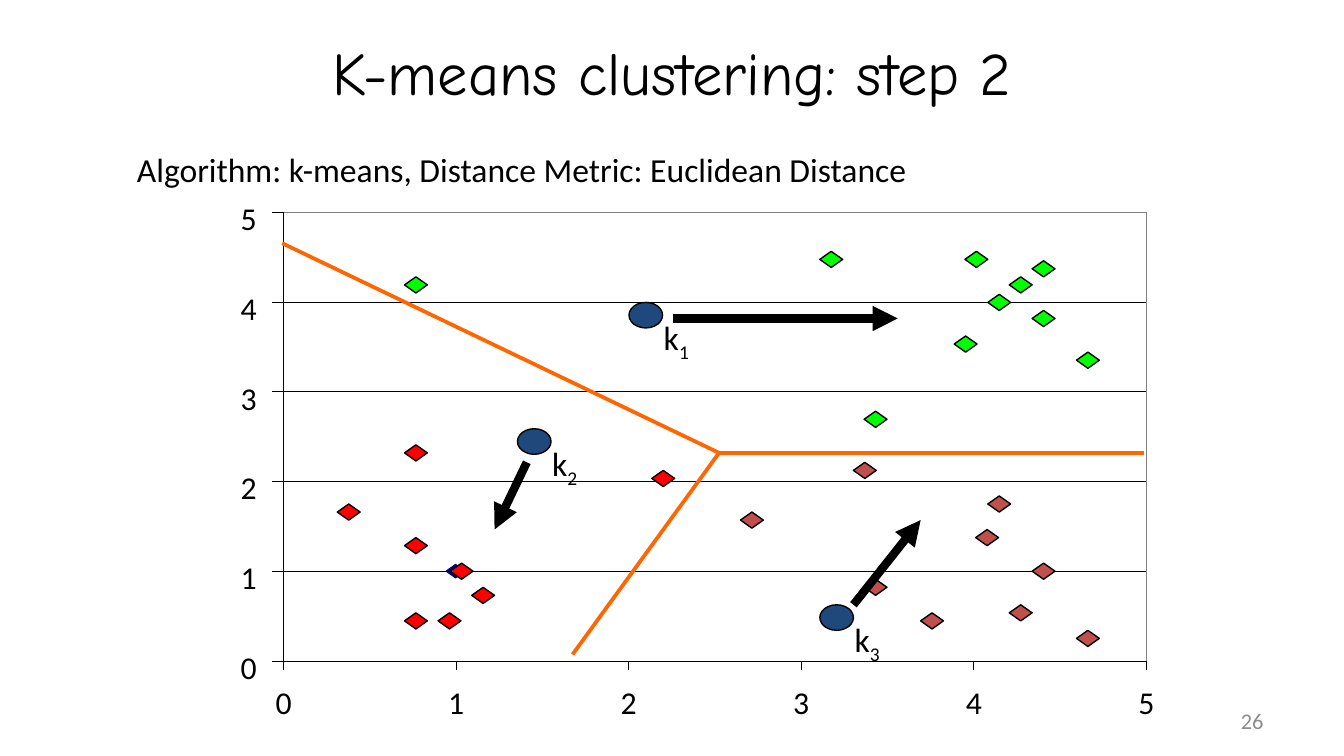
from pptx import Presentation
from pptx.dml.color import RGBColor
from pptx.enum.shapes import MSO_CONNECTOR, MSO_SHAPE
from pptx.enum.text import MSO_ANCHOR, PP_ALIGN
from pptx.oxml.ns import qn
from pptx.util import Inches, Pt
from lxml import etree

STRAIGHT = MSO_CONNECTOR.STRAIGHT
RECTANGLE, OVAL, DIAMOND = MSO_SHAPE.RECTANGLE, MSO_SHAPE.OVAL, MSO_SHAPE.DIAMOND
LEFT, CENTER, RIGHT = PP_ALIGN.LEFT, PP_ALIGN.CENTER, PP_ALIGN.RIGHT
MIDDLE = MSO_ANCHOR.MIDDLE

BLACK, WHITE, GRAY, ORANGE = "000000", "FFFFFF", "808080", "FF6600"
NAVY, BLUE, GREEN, RED, BROWN = "000080", "1F497D", "00FF00", "FF0000", "C0504D"

PLOT_LEFT, PLOT_TOP, PLOT_WIDTH, PLOT_HEIGHT = 2.11, 1.58, 6.42, 3.34
PLOT_RIGHT, PLOT_BOTTOM = PLOT_LEFT + PLOT_WIDTH, PLOT_TOP + PLOT_HEIGHT
AXIS_MAX = 5
BORDER_MEET = (5.35, 3.37)

POINTS = {
    GREEN: [(3.01, 2.06), (7.18, 1.87), (7.68, 1.94), (7.51, 2.06), (7.35, 2.19), (7.68, 2.31),
            (8.01, 2.62), (6.1, 1.87), (6.43, 3.06), (7.1, 2.5)],
    RED: [(3.35, 4.19), (3.51, 4.37), (3.26, 4.56), (3.01, 4), (3.01, 3.31), (3.01, 4.56),
          (2.51, 3.75), (4.85, 3.5)],
    BROWN: [(6.43, 4.31), (6.85, 4.56), (7.26, 3.94), (6.35, 3.44), (5.51, 3.81), (7.68, 4.19),
            (7.51, 4.5), (7.35, 3.69), (8.01, 4.69)],
}
CENTROIDS = [(4.68, 2.25), (3.85, 3.19), (6.1, 4.5)]
MOVES = [((5.01, 2.37), (6.68, 2.37)), ((3.92, 3.44), (3.68, 3.94)), ((6.35, 4.5), (6.85, 3.87))]
BORDER_ENDS = [(2.1, 1.81), (4.26, 4.87), (8.51, 3.37)]


def color(value):
    return RGBColor.from_string(value)


class Slide:
    font = "Calibri"
    title_font = "Comic Neue"

    def __init__(self, deck):
        self.page = deck.slides.add_slide(deck.slide_layouts[5])

    def style(self, span, size, shade=BLACK, font=None):
        span.font.name = font or self.font
        span.font.size = Pt(size)
        span.font.color.rgb = color(shade)

    def title(self, text, left, top, width, height):
        box = self.page.shapes.title
        box.left, box.top, box.width, box.height = map(Inches, (left, top, width, height))
        box.text_frame.text = text
        box.text_frame.vertical_anchor = MIDDLE
        para = box.text_frame.paragraphs[0]
        para.alignment = CENTER
        self.style(para.runs[0], 32.4, font=self.title_font)

    def text(self, text, left, top, width, height, size=18, shade=BLACK,
             align=LEFT, wrap=True, inset=True, subscript=""):
        box = self.page.shapes.add_textbox(*map(Inches, (left, top, width, height)))
        frame = box.text_frame
        frame.word_wrap = wrap
        if not inset:
            frame.margin_left = frame.margin_right = frame.margin_top = frame.margin_bottom = 0
        frame.text = text
        para = frame.paragraphs[0]
        para.alignment = align
        if subscript:
            span = para.add_run()
            span.text = subscript
            span.font._element.set("baseline", "-25000")
        for span in para.runs:
            self.style(span, size, shade)
        return box

    def shape(self, kind, left, top, width, height, fill=None, line=None, weight=0.75):
        shape = self.page.shapes.add_shape(kind, *map(Inches, (left, top, width, height)))
        shape.shadow.inherit = False
        if fill:
            shape.fill.solid()
            shape.fill.fore_color.rgb = color(fill)
        else:
            shape.fill.background()
        if line:
            shape.line.color.rgb = color(line)
            shape.line.width = Pt(weight)
        else:
            shape.line.fill.background()

    def line(self, start, end, shade=BLACK, weight=0, arrow=False):
        line = self.page.shapes.add_connector(STRAIGHT, *map(Inches, (*start, *end)))
        line.line.color.rgb = color(shade)
        properties = line._element.spPr
        outline = properties.find(qn("a:ln"))
        outline.set("w", str(int(Pt(weight))))
        if arrow:
            etree.SubElement(outline, qn("a:tailEnd"), type="triangle")
        etree.SubElement(properties, qn("a:effectLst"))


def draw_axes(slide):
    plot = (PLOT_LEFT, PLOT_TOP, PLOT_WIDTH, PLOT_HEIGHT)
    columns = [PLOT_LEFT + value * PLOT_WIDTH / AXIS_MAX for value in range(AXIS_MAX + 1)]
    rows = [PLOT_BOTTOM - value * PLOT_HEIGHT / AXIS_MAX for value in range(AXIS_MAX + 1)]
    slide.shape(RECTANGLE, *plot, fill=WHITE)
    for y in rows[1:]:
        slide.line((PLOT_LEFT, y), (PLOT_RIGHT, y))
    slide.shape(RECTANGLE, *plot, line=GRAY, weight=0.63)
    slide.line((PLOT_LEFT, PLOT_TOP), (PLOT_LEFT, PLOT_BOTTOM))
    slide.line((PLOT_LEFT, PLOT_BOTTOM), (PLOT_RIGHT, PLOT_BOTTOM))
    for value, (x, y) in enumerate(zip(columns, rows)):
        slide.line((PLOT_LEFT - 0.08, y), (PLOT_LEFT, y))
        slide.line((x, PLOT_BOTTOM + 0.06), (x, PLOT_BOTTOM))
        for left, top in ((1.79, y - 0.1), (x - 0.06, 5.08)):
            slide.text(str(value), left, top, 0.12, 0.29, size=17, wrap=False, inset=False)


def main():
    deck = Presentation()
    deck.slide_width, deck.slide_height = Inches(10), Inches(10) * 9 // 16
    slide = Slide(deck)
    slide.title("K-means clustering: step 2", 0.75, 0.31, 8.5, 0.44)
    draw_axes(slide)
    slide.text("Algorithm: k-means, Distance Metric: Euclidean Distance",
               0.92, 1.06, 6.01, 0.4, wrap=False)
    slide.shape(DIAMOND, 3.32, 4.2, 0.14, 0.1, NAVY, NAVY, 0.63)
    for number, (left, top) in enumerate(CENTROIDS, 1):
        slide.shape(OVAL, left, top, 0.25, 0.19, BLUE, BLACK)
        slide.text("k", left + 0.16, top + 0.06, 0.58, 0.4, subscript=str(number))
    for shade, places in POINTS.items():
        for left, top in places:
            slide.shape(DIAMOND, left, top, 0.17, 0.12, shade, BLACK)
    for start, end in MOVES:
        slide.line(start, end, weight=4.5, arrow=True)
    for end in BORDER_ENDS:
        slide.line(BORDER_MEET, end, ORANGE, 2)
    number_box = slide.text("26", 7.17, 5.21, 2.33, 0.3, size=12, shade="8C8C8C", align=RIGHT)
    number_box.text_frame.vertical_anchor = MIDDLE
    deck.save("out.pptx")


if __name__ == "__main__":
    main()
